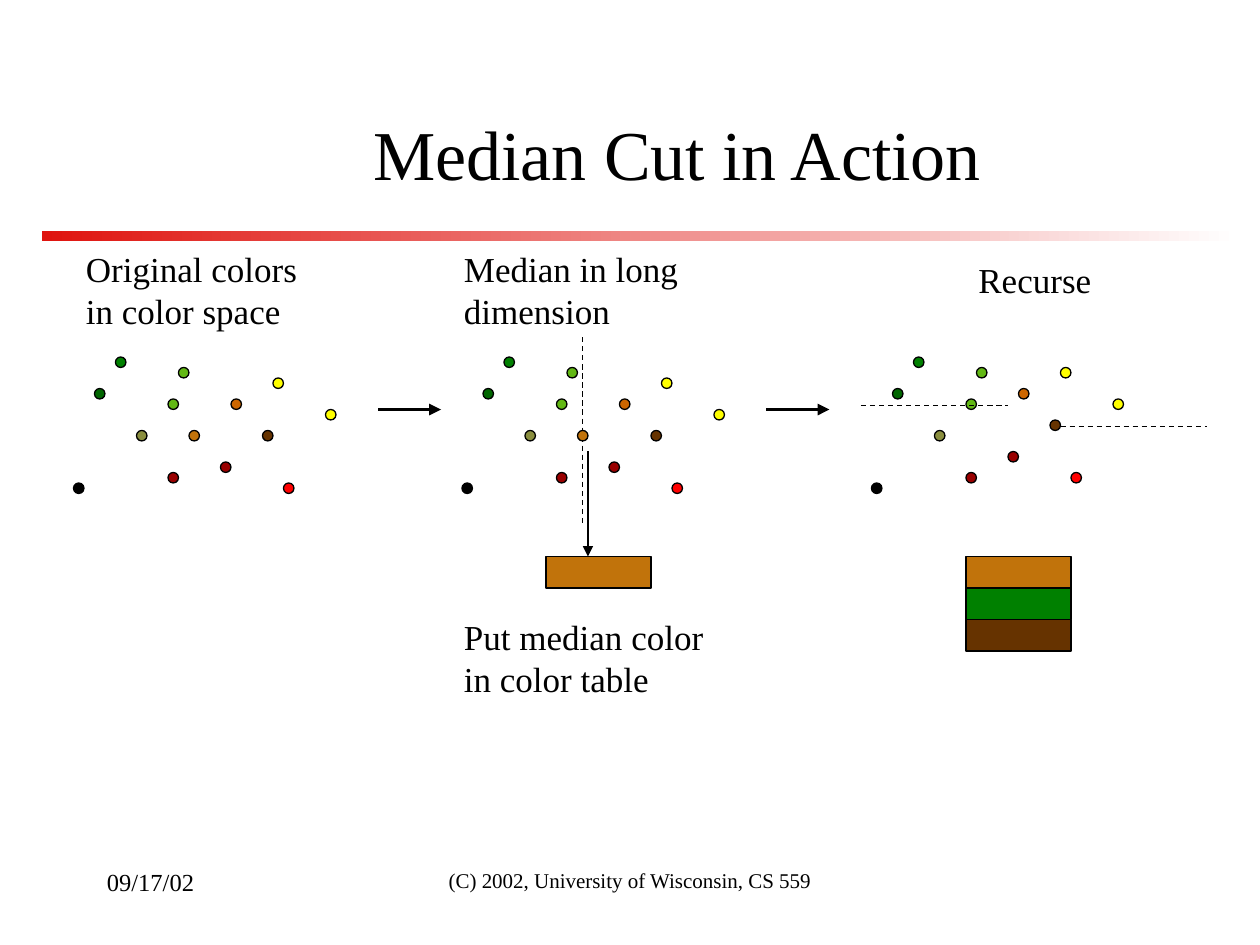
from lxml import etree
from pptx import Presentation
from pptx.dml.color import RGBColor
from pptx.enum.dml import MSO_LINE
from pptx.enum.shapes import MSO_CONNECTOR, MSO_SHAPE
from pptx.enum.text import MSO_ANCHOR, PP_ALIGN
from pptx.oxml.ns import qn
from pptx.util import Emu, Pt

RECT, OVAL = MSO_SHAPE.RECTANGLE, MSO_SHAPE.OVAL
STRAIGHT, DASH = MSO_CONNECTOR.STRAIGHT, MSO_LINE.DASH
LEFT, CENTER = PP_ALIGN.LEFT, PP_ALIGN.CENTER
TOP, MIDDLE = MSO_ANCHOR.TOP, MSO_ANCHOR.MIDDLE

BLACK = RGBColor(0x00, 0x00, 0x00)
WHITE = RGBColor(0xFF, 0xFF, 0xFF)
CRIMSON = RGBColor(0xDF, 0x14, 0x0F)
GREEN = RGBColor(0x00, 0x80, 0x00)
FOREST = RGBColor(0x00, 0x66, 0x00)
LIME = RGBColor(0x62, 0xB8, 0x14)
OLIVE = RGBColor(0x8A, 0x8E, 0x3E)
OCHRE = RGBColor(0xC1, 0x73, 0x0B)
RUST = RGBColor(0xCC, 0x66, 0x00)
BROWN = RGBColor(0x66, 0x33, 0x00)
MAROON = RGBColor(0x99, 0x00, 0x00)
RED = RGBColor(0xFF, 0x00, 0x00)
YELLOW = RGBColor(0xFF, 0xFF, 0x00)

FONT = "Times New Roman"
SCALE = 9525  # EMU per px, 96 px to the inch
DOT = 8
CELL_W, CELL_H = 80, 24

# Color samples as (x, y, color), split at the median
LOW = [(32, 0, GREEN), (48, 56, OLIVE), (80, 8, LIME), (0, 96, BLACK),
       (16, 24, FOREST), (72, 32, LIME), (72, 88, MAROON)]
MEDIAN = [(88, 56, OCHRE)]
HIGH = [(152, 16, YELLOW), (144, 56, BROWN), (112, 80, MAROON),
        (160, 96, RED), (120, 32, RUST), (192, 40, YELLOW)]


def px(*nums):
    return [Emu(n * SCALE) for n in nums]


def add_text(slide, box, text, size=20, align=LEFT, anchor=TOP):
    frame = slide.shapes.add_textbox(*px(*box)).text_frame
    frame.word_wrap = True
    frame.vertical_anchor = anchor
    frame.text = text
    para = frame.paragraphs[0]
    para.alignment = align
    font = para.runs[0].font
    font.name, font.size = FONT, Pt(size)
    font.color.rgb = BLACK


def add_solid(slide, kind, box, color):
    shape = slide.shapes.add_shape(kind, *px(*box))
    shape.shadow.inherit = False
    shape.fill.solid()
    shape.fill.fore_color.rgb = color
    shape.line.color.rgb = BLACK
    shape.line.width = Pt(0.75)


def add_line(slide, ends, width=0.75, dash=None, arrow=False):
    line = slide.shapes.add_connector(STRAIGHT, *px(*ends))
    line.line.color.rgb = BLACK
    line.line.width = Pt(width)
    if dash is not None:
        line.line.dash_style = dash
    if arrow:
        pen = line.line._get_or_add_ln()
        etree.SubElement(pen, qn("a:tailEnd"), type="triangle")
    etree.SubElement(line._element.spPr, qn("a:effectLst"))


def add_dots(slide, left, top, dots):
    for x, y, color in dots:
        add_solid(slide, OVAL, (left + x, top + y, DOT, DOT), color)


def add_table_cells(slide, left, top, colors):
    for i, color in enumerate(colors):
        add_solid(slide, RECT, (left, top + i * CELL_H, CELL_W, CELL_H), color)


def add_step(slide, left, top):
    add_line(slide, (left, top, left + 48, top), 2.25, arrow=True)


def draw_head(slide, left, top):
    # Fading rule under the title
    rule = slide.shapes.add_shape(RECT, *px(left, top + 112, 912, 8))
    rule.shadow.inherit = False
    rule.line.fill.background()
    rule.fill.gradient()
    rule.fill.gradient_angle = 0
    for stop, color in zip(rule.fill.gradient_stops, (CRIMSON, WHITE)):
        stop.color.rgb = color
    add_text(slide, (left + 96, top, 776, 104), "Median Cut in Action",
             40, CENTER, MIDDLE)


def draw_start(slide, left, top):
    add_text(slide, (left, top, 200, 74), "Original colors in color space")
    add_dots(slide, left, top + 88, LOW + MEDIAN + HIGH)


def draw_median(slide, left, top):
    add_text(slide, (left, top, 200, 74), "Median in long dimension")
    # Cut line behind the samples
    add_line(slide, (left + 100, top + 73, left + 100, top + 217), dash=DASH)
    add_dots(slide, left + 8, top + 88, LOW + MEDIAN + HIGH)
    # Median sample goes to the table
    add_line(slide, (left + 104, top + 160, left + 104, top + 240), arrow=True)
    add_table_cells(slide, left + 72, top + 240, [OCHRE])
    add_text(slide, (left, top + 280, 216, 74),
             "Put median color in color table")


def draw_recurse(slide, left, top):
    add_text(slide, (left + 80, top + 8, 112, 42), "Recurse")
    # The two halves, each with its own cut
    add_dots(slide, left + 8, top + 88, LOW)
    add_dots(slide, left, top + 80, HIGH)
    for x, y in ((0, 125), (152, 141)):
        add_line(slide, (left + x, top + y, left + x + 112, top + y), dash=DASH)
    add_table_cells(slide, left + 80, top + 240, [OCHRE, GREEN, BROWN])


def draw_foot(slide, left, top):
    add_text(slide, (left + 256, top, 304, 48),
             "(C) 2002, University of Wisconsin, CS 559", 12, CENTER)
    add_text(slide, (left, top, 200, 48), "09/17/02", 14)


def main():
    deck = Presentation()
    deck.slide_width, deck.slide_height = px(960, 720)
    slide = deck.slides.add_slide(deck.slide_layouts[6])
    draw_head(slide, 32, 64)
    draw_start(slide, 56, 184)
    add_step(slide, 288, 312)
    draw_median(slide, 344, 184)
    add_step(slide, 584, 312)
    draw_recurse(slide, 656, 184)
    draw_foot(slide, 72, 656)
    deck.save("out.pptx")


if __name__ == "__main__":
    main()
